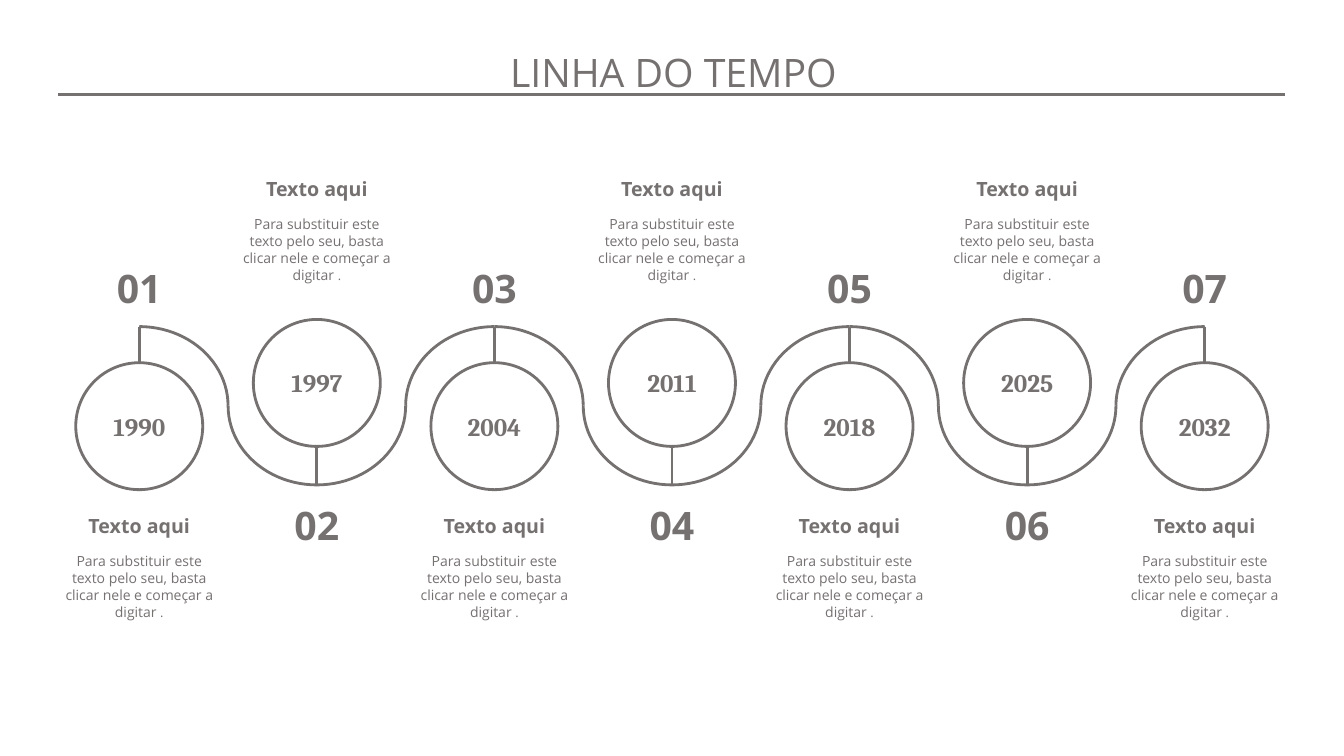
from lxml.etree import SubElement
from pptx import Presentation
from pptx.dml.color import RGBColor
from pptx.enum.shapes import MSO_CONNECTOR as Link, MSO_SHAPE as Shape
from pptx.enum.text import PP_ALIGN as Align
from pptx.oxml.ns import qn
from pptx.util import Cm, Pt

# Content
TITLE = "LINHA DO TEMPO"
YEARS = ["1990", "1997", "2004", "2011", "2018", "2025", "2032"]
HEAD = "Texto aqui"
BODY = "Para substituir este texto pelo seu, basta clicar nele e começar a digitar "

# Style
GREY = RGBColor(0x76, 0x71, 0x71)
WHITE = RGBColor(0xFF, 0xFF, 0xFF)
SANS, SERIF = "Open Sans", "Cambria"

# Layout in centimetres
FIRST, LAST = 3.51, 30.36
STEP = (LAST - FIRST) / (len(YEARS) - 1)
WAVE_TOP, WAVE_H = 8.23, 3.99
DISC = 3.2
# Even stops hang below the wave crest, odd stops stand above its trough
LOW = dict(disc=9.14, stem=(WAVE_TOP, 9.14), num=6.53, head=12.83,
           arcs=(180, 270))
HIGH = dict(disc=8.05, stem=(11.25, WAVE_TOP + WAVE_H), num=12.52, head=4.34,
            arcs=(90, 0))

deck = Presentation()
deck.slide_width, deck.slide_height = Cm(33.87), Cm(19.05)
slide = deck.slides.add_slide(deck.slide_layouts[6])
shapes = slide.shapes


def add_line(x1, y1, x2, y2):
    line = shapes.add_connector(Link.STRAIGHT, Cm(x1), Cm(y1), Cm(x2), Cm(y2))
    line.line.color.rgb = GREY
    line.line.width = Pt(2)
    SubElement(line._element.spPr, qn("a:effectLst"))


def add_form(kind, mid, top, wide, high):
    form = shapes.add_shape(kind, Cm(mid - wide / 2), Cm(top), Cm(wide), Cm(high))
    form.shadow.inherit = False
    form.line.color.rgb = GREY
    form.line.width = Pt(2)
    return form


def add_arc(mid, start):
    arc = add_form(Shape.ARC, mid, WAVE_TOP, STEP, WAVE_H)
    arc.fill.background()
    # Arc angles are stored as degrees times 0.6
    arc.adjustments[0] = start * 0.6
    arc.adjustments[1] = (start + 90) % 360 * 0.6


def add_text(text, mid, top, wide, high, size, font=SANS, bold=False):
    box = shapes.add_textbox(Cm(mid - wide / 2), Cm(top), Cm(wide), Cm(high))
    box.text_frame.word_wrap = True
    para = box.text_frame.paragraphs[0]
    para.alignment = Align.CENTER
    para.add_run().text = text
    para.font.name, para.font.size, para.font.bold = font, Pt(size), bold
    para.font.color.rgb = GREY
    return para


# Title and rule
add_text(TITLE, 16.97, 1.09, 33.93, 1.45, 28)
add_line(1.47, 2.39, 32.39, 2.39)

# Stops along the wave
for i, year in enumerate(YEARS):
    mid = FIRST + i * STEP
    side = HIGH if i % 2 else LOW
    left, right = side["arcs"]
    if i > 0:
        add_arc(mid, left)
    if i < len(YEARS) - 1:
        add_arc(mid, right)
    start, end = side["stem"]
    add_line(mid, start, mid, end)
    disc = add_form(Shape.OVAL, mid, side["disc"], DISC, DISC)
    disc.fill.solid()
    disc.fill.fore_color.rgb = WHITE

    add_text(year, mid, side["disc"] + 1.09, DISC, 1.02, 18, SERIF, True)
    add_text(f"{i + 1:02}", mid, side["num"], 2.67, 1.45, 28, bold=True)
    add_text(HEAD, mid, side["head"], 4.24, 0.84, 14, bold=True)
    para = add_text(BODY, mid, side["head"] + 0.97, 4.24, 1.96, 10)
    dot = para.add_run()
    dot.text = "."
    dot.font.size = Pt(9)

deck.save("out.pptx")
